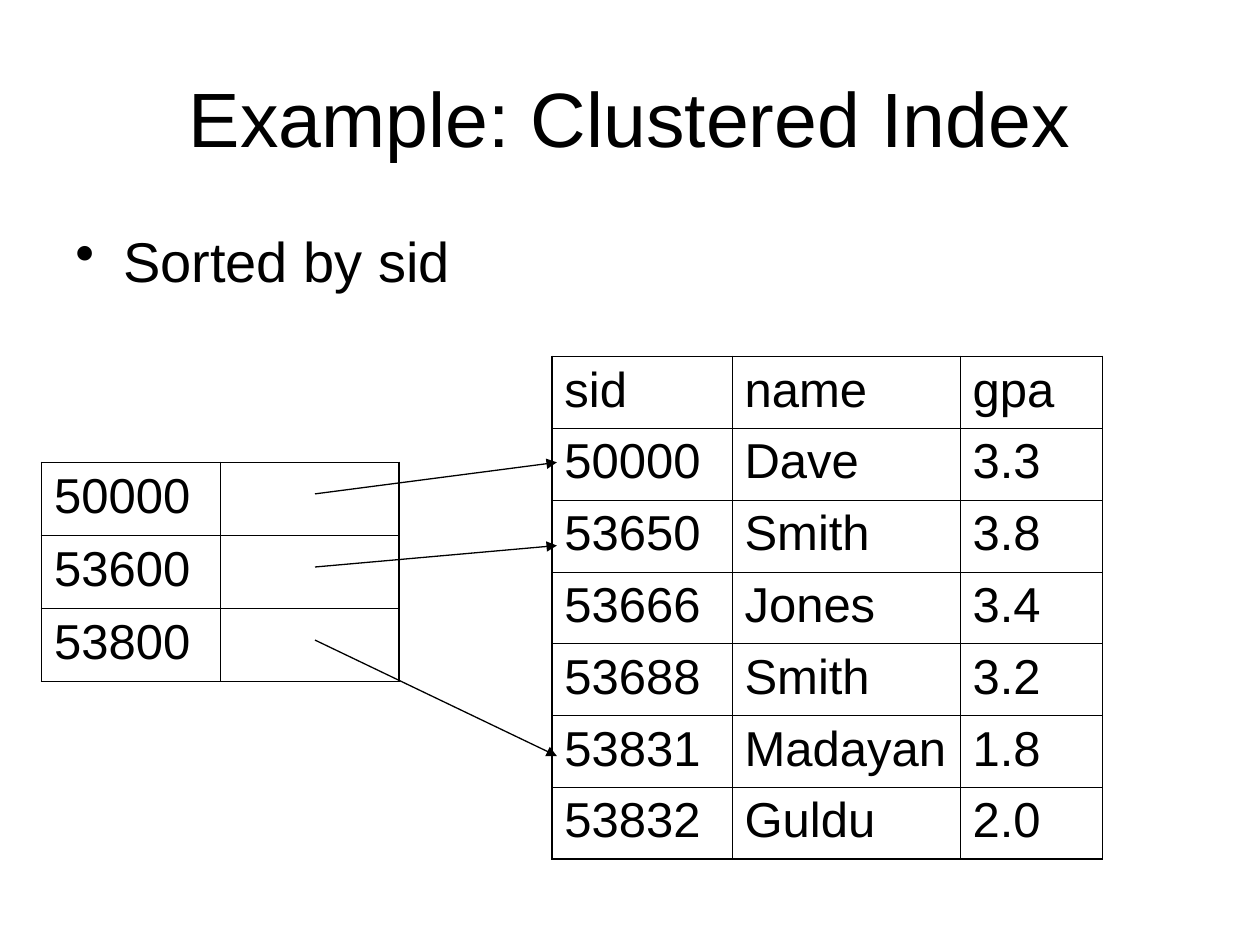
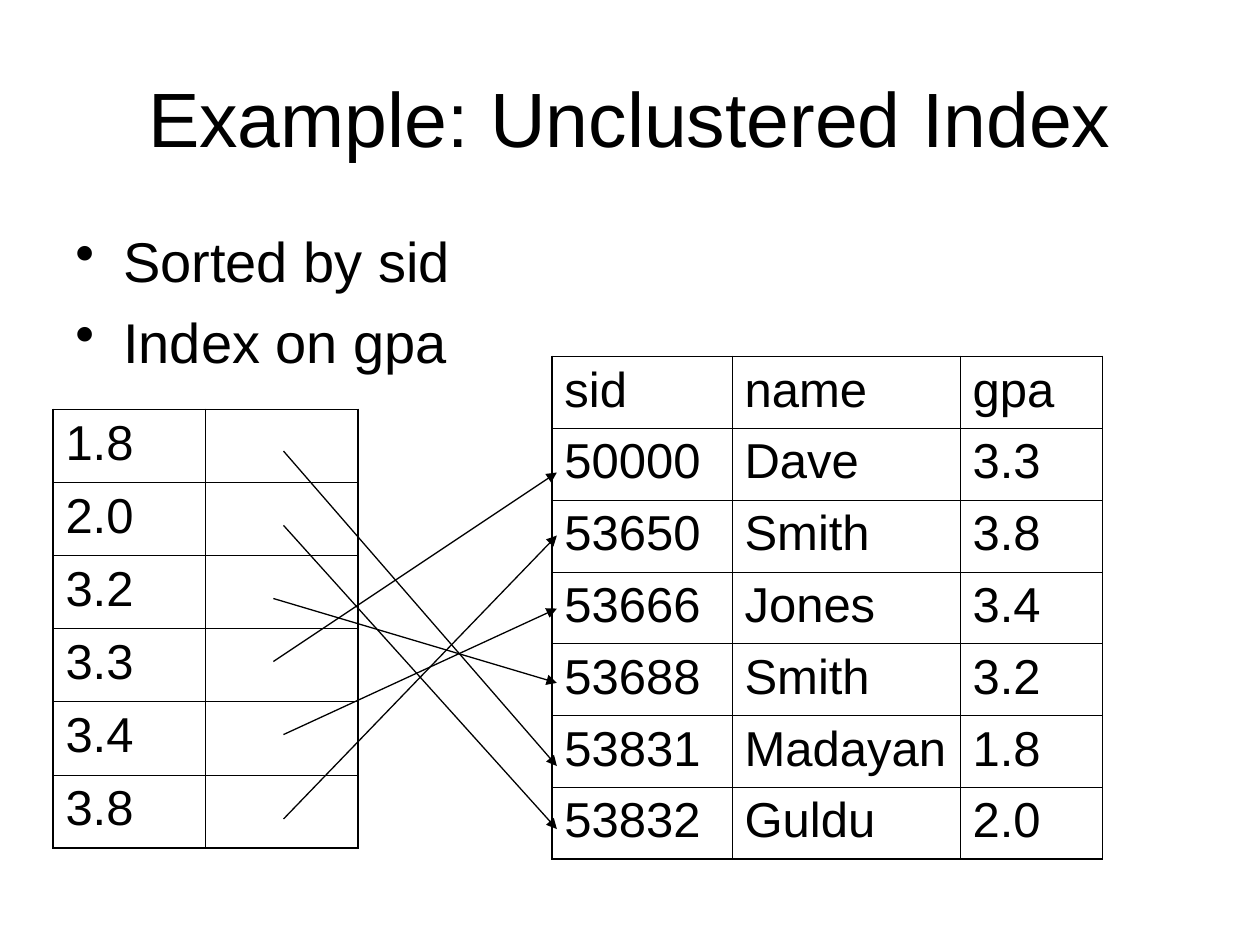
from lxml import etree
from pptx import Presentation
from pptx.dml.color import RGBColor
from pptx.enum.shapes import MSO_CONNECTOR
from pptx.enum.text import MSO_ANCHOR, PP_ALIGN
from pptx.oxml.ns import qn
from pptx.util import Inches, Pt

STRAIGHT = MSO_CONNECTOR.STRAIGHT
MIDDLE = MSO_ANCHOR.MIDDLE
CENTER = PP_ALIGN.CENTER

COLORS = {"ink": "000000", "paper": "FFFFFF"}
TITLE_FONT = {"name": "Arial", "size": Pt(44), "bold": False}
BULLET_FONT = {"name": "Arial", "size": Pt(32), "bold": False}
CELL_FONT = {"name": "Arial", "size": Pt(28), "bold": False}
FRAME = {
    "margin_left": Inches(0.1),
    "margin_right": Inches(0.1),
    "margin_top": Inches(0.05),
    "margin_bottom": Inches(0.05),
    "word_wrap": True,
}
OUTER_BORDER, INNER_BORDER, ARROW_LINE = Pt(1.08), Pt(0.45), Pt(0.74)
BULLET_INDENT = Inches(0.38)
ARROW_END = 4.42

STUDENTS = [
    ("sid", "name", "gpa"),
    ("50000", "Dave", "3.3"),
    ("53650", "Smith", "3.8"),
    ("53666", "Jones", "3.4"),
    ("53688", "Smith", "3.2"),
    ("53831", "Madayan", "1.8"),
    ("53832", "Guldu", "2.0"),
]

EXAMPLES = [
    {
        "title": "Example: Clustered Index",
        "bullets": ["Sorted by sid"],
        "keys": ["50000", "53600", "53800"],
        "index_at": (0.33, 3.67),
        "index_column": 1.42,
        "arrows": [(2.5, 3.92, 3.67), (2.5, 4.5, 4.33), (2.5, 5.08, 6)],
    },
    {
        "title": "Example: Unclustered Index",
        "bullets": ["Sorted by sid", "Index on gpa"],
        "keys": ["1.8", "2.0", "3.2", "3.3", "3.4", "3.8"],
        "index_at": (0.42, 3.25),
        "index_column": 1.21,
        "arrows": [
            (2.25, 3.58, 6.08),
            (2.25, 4.17, 6.58),
            (2.17, 4.75, 5.42),
            (2.17, 5.25, 3.75),
            (2.25, 5.83, 4.83),
            (2.25, 6.5, 4.25),
        ],
    },
]


def apply_format(target, values):
    for attribute, value in values.items():
        setattr(target, attribute, value)


def format_font(font, values):
    apply_format(font, values)
    font.color.rgb = RGBColor.from_string(COLORS["ink"])


def add_title(slide, text):
    title = slide.shapes.title
    title.left, title.top = Inches(0.5), Inches(0.3)
    title.width, title.height = Inches(9), Inches(1.25)
    apply_format(title.text_frame, {**FRAME, "vertical_anchor": MIDDLE})
    title.text_frame.text = text
    heading = title.text_frame.paragraphs[0]
    heading.alignment = CENTER
    format_font(heading.runs[0].font, TITLE_FONT)


def add_bullets(slide, lines):
    body = slide.shapes.add_textbox(Inches(0.5), Inches(1.75), Inches(9), Inches(4.95))
    apply_format(body.text_frame, FRAME)
    body.text_frame.text = "\n".join(lines)
    for line in body.text_frame.paragraphs:
        line.space_before = Pt(8)
        format_font(line.runs[0].font, BULLET_FONT)
        properties = line._p.get_or_add_pPr()
        properties.set("marL", str(BULLET_INDENT))
        properties.set("indent", str(-BULLET_INDENT))
        etree.SubElement(properties, qn("a:buChar"), char="•")


def add_border(cell, side, width):
    properties = cell._tc.get_or_add_tcPr()
    border = etree.SubElement(properties, qn(f"a:ln{side}"), w=str(width))
    fill = etree.SubElement(border, qn("a:solidFill"))
    etree.SubElement(fill, qn("a:srgbClr"), val=COLORS["ink"])


def add_grid(slide, rows, at, column_widths, row_height):
    left, top = at
    grid = slide.shapes.add_table(
        len(rows), len(column_widths), Inches(left), Inches(top),
        Inches(sum(column_widths)), Inches(row_height * len(rows)),
    ).table
    grid.first_row = grid.horz_banding = False
    for column, width in zip(grid.columns, column_widths):
        column.width = Inches(width)
    last_row, last_column = len(rows) - 1, len(column_widths) - 1
    for r, values in enumerate(rows):
        for c, value in enumerate(values):
            cell = grid.cell(r, c)
            on_edge = {"L": c == 0, "R": c == last_column, "T": r == 0, "B": r == last_row}
            for side, outer in on_edge.items():
                add_border(cell, side, OUTER_BORDER if outer else INNER_BORDER)
            cell.fill.background()
            cell.text = value
            entry = cell.text_frame.paragraphs[0]
            entry.space_before = Pt(7)
            format_font(entry.font, CELL_FONT)
            for run in entry.runs:
                format_font(run.font, CELL_FONT)


def add_arrow(slide, start_x, start_y, end_y):
    arrow = slide.shapes.add_connector(
        STRAIGHT, Inches(start_x), Inches(start_y), Inches(ARROW_END), Inches(end_y)
    )
    arrow.line.color.rgb = RGBColor.from_string(COLORS["ink"])
    arrow.line.width = ARROW_LINE
    etree.SubElement(arrow.line._get_or_add_ln(), qn("a:tailEnd"), type="triangle")
    etree.SubElement(arrow._element.spPr, qn("a:effectLst"))


def build_example(deck, example):
    slide = deck.slides.add_slide(deck.slide_layouts[5])
    slide.background.fill.solid()
    slide.background.fill.fore_color.rgb = RGBColor.from_string(COLORS["paper"])
    add_title(slide, example["title"])
    add_bullets(slide, example["bullets"])
    add_grid(slide, STUDENTS, (4.38, 2.83), [1.43, 1.81, 1.13], 0.57)
    index_rows = [(key, "") for key in example["keys"]]
    add_grid(slide, index_rows, example["index_at"], [example["index_column"]] * 2, 0.58)
    for arrow in example["arrows"]:
        add_arrow(slide, *arrow)


def main():
    deck = Presentation()
    deck.slide_width, deck.slide_height = Inches(10), Inches(7.5)
    for example in EXAMPLES:
        build_example(deck, example)
    deck.save("out.pptx")


main()
